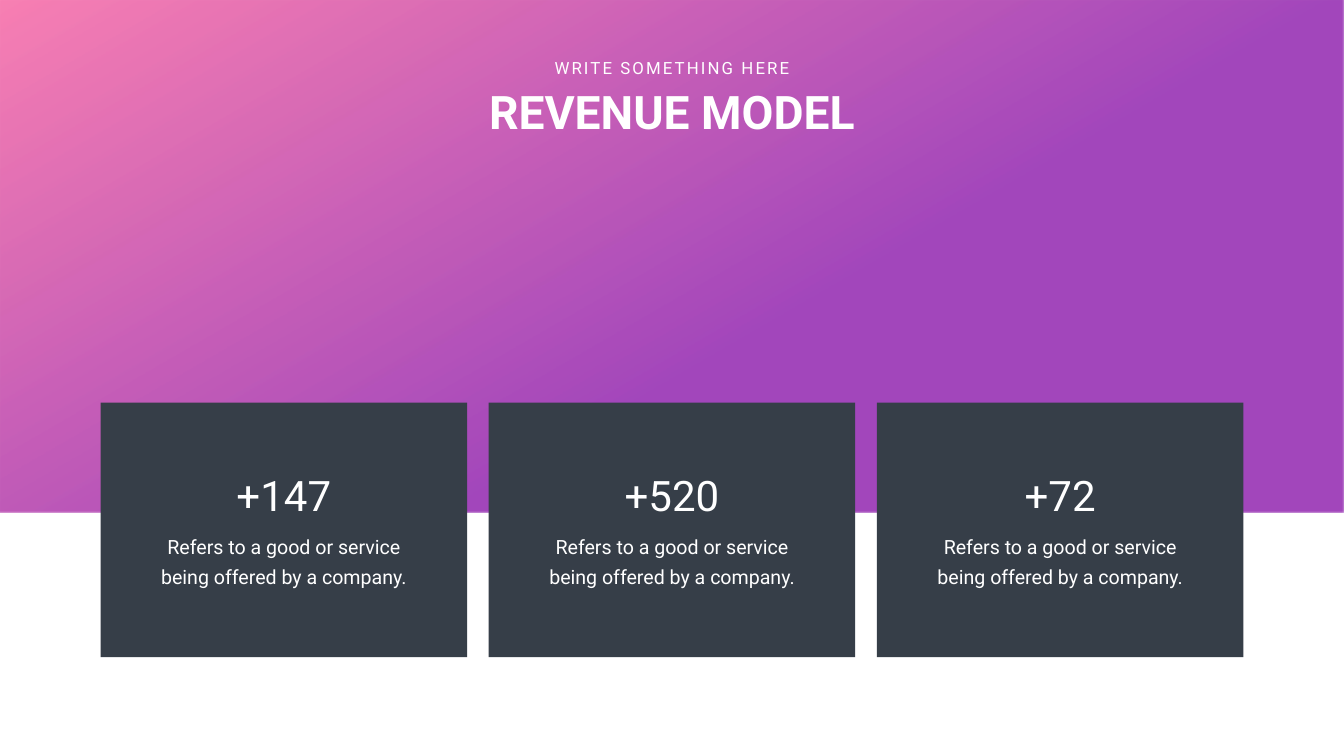
from lxml import etree
from pptx import Presentation
from pptx.dml.color import RGBColor
from pptx.enum.shapes import MSO_SHAPE
from pptx.enum.text import MSO_AUTO_SIZE, PP_ALIGN
from pptx.oxml.ns import qn
from pptx.util import Inches, Pt

RECTANGLE = MSO_SHAPE.RECTANGLE
CENTER = PP_ALIGN.CENTER
GROW = MSO_AUTO_SIZE.SHAPE_TO_FIT_TEXT

# Content
KICKER = "WRITE SOMETHING HERE"
TITLE = "REVENUE MODEL"
CARDS = [
    ("+147", "Refers to a good or service being offered by a company."),
    ("+520", "Refers to a good or service being offered by a company."),
    ("+72", "Refers to a good or service being offered by a company."),
]

# Style
FONT, WHITE, SLATE = "Roboto", "FFFFFF", "363E48"
BANNER_STOPS = [(0, "F761A0"), (0.6, "8C1BAB")]
BANNER_ALPHA = 80
KICKER_FORMAT = {"size": Pt(24)}
TITLE_FORMAT = {"size": Pt(66), "bold": True}
FIGURE_FORMAT = {"size": Pt(60)}
NOTE_FORMAT = {"size": Pt(28)}

# Grid, in inches
SLIDE_W, SLIDE_H = 26.66, 15
BANNER_H = 10.17
CARD_W, CARD_H, CARD_TOP, CARD_GAP = 7.27, 5.05, 7.99, 0.43
CARDS_LEFT = (SLIDE_W - len(CARDS) * CARD_W - (len(CARDS) - 1) * CARD_GAP) / 2
FIGURE_W, FIGURE_H, FIGURE_TOP = 2.1, 1.11, 9.26
NOTE_W, NOTE_H = 5.36, 1.39


def color(value):
    return RGBColor.from_string(value)


def add_rectangle(left, top, width, height):
    rectangle = slide.shapes.add_shape(
        RECTANGLE, Inches(left), Inches(top), Inches(width), Inches(height))
    rectangle.shadow.inherit = False
    rectangle.line.fill.background()
    return rectangle


def add_text(text, middle, top, width, height, formats,
             wrap=True, margins=(0.1, 0.05), line=None, tracking=None):
    """Add one centred line of text around the given middle."""
    box = slide.shapes.add_textbox(
        Inches(middle - width / 2), Inches(top), Inches(width), Inches(height))
    frame = box.text_frame
    frame.word_wrap = wrap
    frame.auto_size = GROW
    frame.margin_left = frame.margin_right = Inches(margins[0])
    frame.margin_top = frame.margin_bottom = Inches(margins[1])
    paragraph = frame.paragraphs[0]
    paragraph.alignment = CENTER
    if line:
        paragraph.line_spacing = Pt(line)
    run = paragraph.add_run()
    run.text = text
    for key, value in {"name": FONT, **formats}.items():
        setattr(run.font, key, value)
    run.font.color.rgb = color(WHITE)
    if tracking:
        run.font._element.set("spc", str(tracking * 100))


presentation = Presentation()
presentation.slide_width = Inches(SLIDE_W)
presentation.slide_height = Inches(SLIDE_H)
slide = presentation.slides.add_slide(presentation.slide_layouts[6])

# Gradient banner
banner = add_rectangle(0, 0, SLIDE_W, BANNER_H)
banner.fill.gradient()
banner.fill.gradient_angle = 300
for stop, (position, shade) in zip(banner.fill.gradient_stops, BANNER_STOPS):
    stop.position = position
    stop.color.rgb = color(shade)
for shade in banner._element.spPr.iter(qn("a:srgbClr")):
    etree.SubElement(shade, qn("a:alpha")).set("val", str(BANNER_ALPHA * 1000))

# Heading
add_text(TITLE, SLIDE_W / 2, 1.61, 11.44, 1.21, TITLE_FORMAT)
add_text(KICKER, SLIDE_W / 2, 1.1, 5, 0.5, KICKER_FORMAT, wrap=False, tracking=3)

# Cards
for column, (figure, note) in enumerate(CARDS):
    left = CARDS_LEFT + column * (CARD_W + CARD_GAP)
    middle = left + CARD_W / 2
    card = add_rectangle(left, CARD_TOP, CARD_W, CARD_H)
    card.fill.solid()
    card.fill.fore_color.rgb = color(SLATE)
    add_text(figure, middle, FIGURE_TOP, FIGURE_W, FIGURE_H, FIGURE_FORMAT, wrap=False)
    add_text(note, middle, FIGURE_TOP + FIGURE_H, NOTE_W, NOTE_H, NOTE_FORMAT,
             margins=(0.24, 0.12), line=43)

presentation.save("out.pptx")
